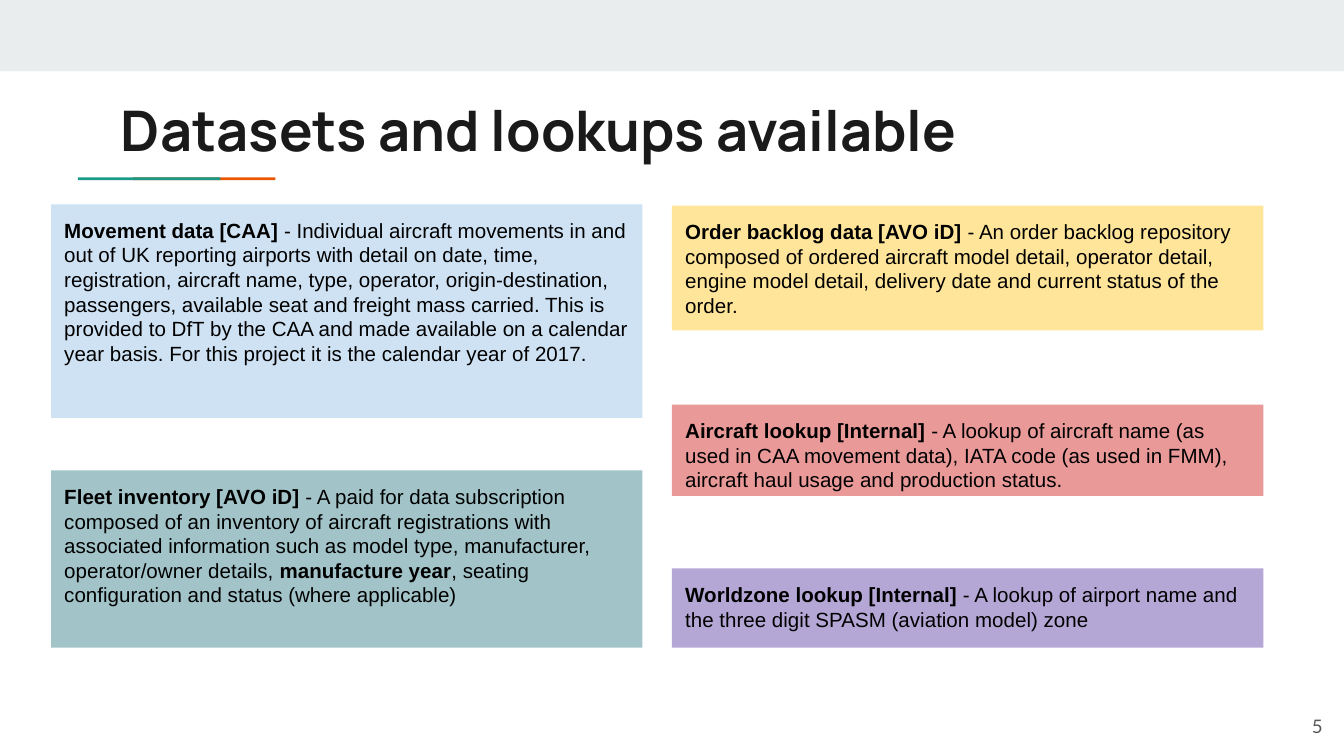
from pptx import Presentation, util as u
from pptx.dml.color import RGBColor
from pptx.enum import shapes, text

W = 10
H = W * 9 / 16
COL_X = [0.038 * W, 0.5 * W]
COL_W = 0.44 * W

prs = Presentation()
prs.slide_width, prs.slide_height = u.Inches(W), u.Inches(H)
s = prs.slides.add_slide(prs.slide_layouts[5])


def rgb(value):
    return RGBColor.from_string(value)


def add_block(x, y, w, h, fill):
    """Add a flat, unlined rectangle and return it."""
    sp = s.shapes.add_shape(shapes.MSO_SHAPE.RECTANGLE,
                            *(u.Inches(v) for v in (x, y, w, h)))
    sp.shadow.inherit = False
    sp.fill.solid()
    sp.fill.fore_color.rgb = rgb(fill)
    sp.line.fill.background()
    return sp


# Top band and two-colour accent under the title
add_block(0, 0, W, 0.53, "E9EDEE")
add_block(0.99, 1.32, 1.06, 0.02, "EB5600")
add_block(0.58, 1.32, 1.06, 0.02, "1A9988")

# Title and page number
title = s.shapes.title
title.left, title.top = u.Inches(0.8), u.Inches(0.61)
title.width, title.height = u.Inches(8.41), u.Inches(0.59)
number = s.shapes.add_textbox(*(u.Inches(v) for v in (9.34, 5.19, 0.6, 0.43)))
for sp, words, font, size, color, bold, align, anchor in [
    (title, "Datasets and lookups available", "Manrope", 30, "1A1A1A", True,
     text.PP_ALIGN.LEFT, text.MSO_ANCHOR.TOP),
    (number, "5", "Lato", 10, "595959", False,
     text.PP_ALIGN.RIGHT, text.MSO_ANCHOR.MIDDLE),
]:
    tf = sp.text_frame
    tf.word_wrap, tf.auto_size = True, text.MSO_AUTO_SIZE.NONE
    tf.vertical_anchor = anchor
    tf.margin_left = tf.margin_right = tf.margin_top = tf.margin_bottom = u.Inches(0.1)
    p = tf.paragraphs[0]
    p.text, p.alignment = words, align
    p.font.name, p.font.size, p.font.bold = font, u.Pt(size), bold
    p.font.color.rgb = rgb(color)

# Dataset cards: column, top, height, fill, then runs alternating bold and regular
cards = [
    (0, 1.52, 1.59, "CFE2F3", [
        "Movement data [CAA]",
        " - Individual aircraft movements in and out of UK reporting airports with "
        "detail on date, time, registration, aircraft name, type, operator, "
        "origin-destination, passengers, available seat and freight mass carried. "
        "This is provided to DfT by the CAA and made available on a calendar year "
        "basis. For this project it is the calendar year of 2017."]),
    (0, 3.5, 1.32, "A2C4C9", [
        "Fleet inventory [AVO iD]",
        " - A paid for data subscription composed of an inventory of aircraft "
        "registrations with associated information such as model type, "
        "manufacturer, operator/owner details, ",
        "manufacture year",
        ", seating configuration and status (where applicable)"]),
    (1, 1.53, 0.93, "FFE599", [
        "Order backlog data [AVO iD]",
        " - An order backlog repository composed of ordered aircraft model detail, "
        "operator detail, engine model detail, delivery date and current status of "
        "the order."]),
    (1, 3.01, 0.68, "EA9999", [
        "Aircraft lookup [Internal]",
        " - A lookup of aircraft name (as used in CAA movement data), IATA code "
        "(as used in FMM), aircraft haul usage and production status."]),
    (1, 4.23, 0.59, "B4A7D6", [
        "Worldzone lookup [Internal]",
        " - A lookup of airport name and the three digit SPASM (aviation model) zone"]),
]
for col, top, height, fill, runs in cards:
    tf = add_block(COL_X[col], top, COL_W, height, fill).text_frame
    tf.word_wrap = True
    tf.vertical_anchor = text.MSO_ANCHOR.TOP
    tf.margin_left = tf.margin_right = tf.margin_top = tf.margin_bottom = u.Inches(0.1)
    p = tf.paragraphs[0]
    p.alignment = text.PP_ALIGN.LEFT
    p.font.name, p.font.size = "Arial", u.Pt(11)
    p.font.color.rgb = rgb("000000")
    for i, words in enumerate(runs):
        r = p.add_run()
        r.text, r.font.bold = words, i % 2 == 0

prs.save("out.pptx")
